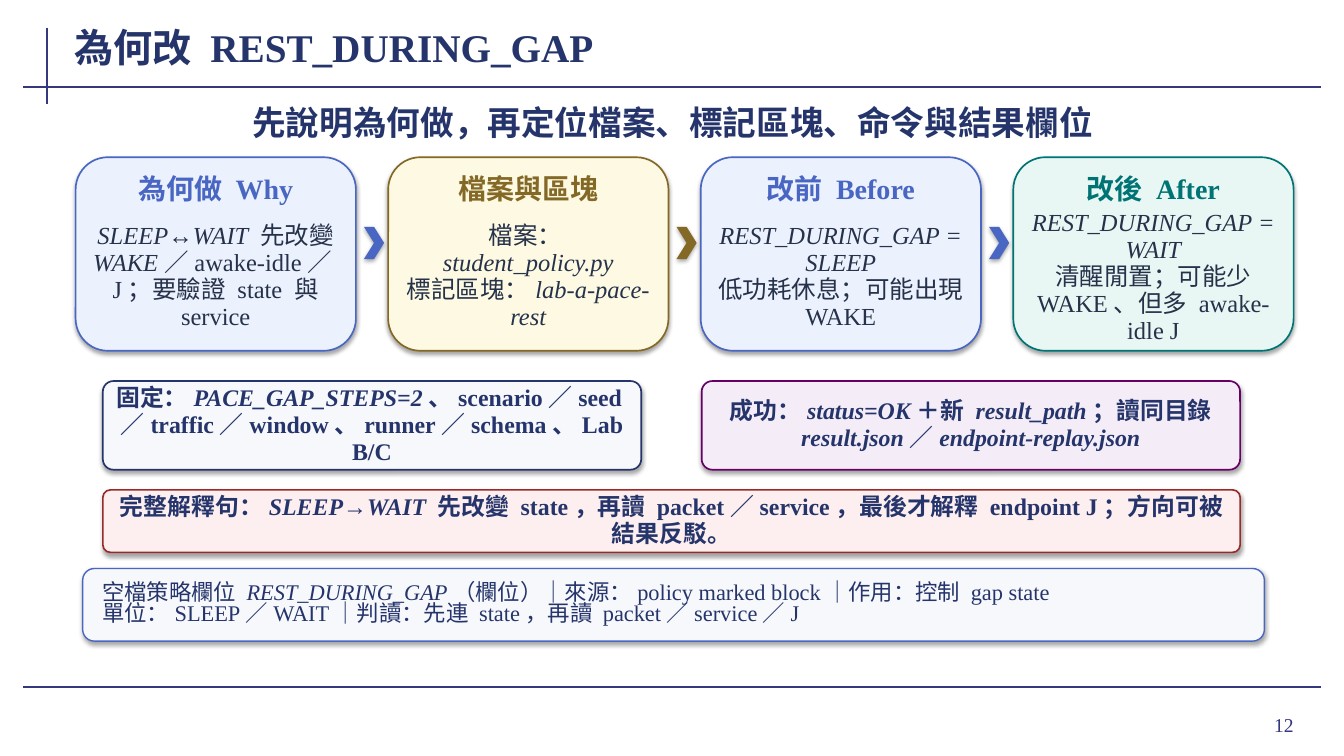
from dataclasses import dataclass

from lxml import etree
from pptx import Presentation, util as u
from pptx.dml.color import RGBColor
from pptx.enum import shapes, text
from pptx.oxml import parse_xml
from pptx.oxml.ns import nsdecls, qn

SHAPE, ALIGN = shapes.MSO_SHAPE, text.PP_ALIGN


@dataclass(frozen=True)
class Theme:
    font: str = "Times New Roman"
    rule: str = "35377F"
    navy: str = "25356B"
    ink: str = "25324A"
    blue: str = "4967C2"
    gold: str = "846826"
    teal: str = "007374"
    purple: str = "660066"
    red: str = "992A2A"
    pale_blue: str = "ECF1FE"
    pale_gold: str = "FDF9E2"
    pale_teal: str = "E8F7F4"
    pale_purple: str = "F4EDF7"
    pale_red: str = "FDEFEF"
    pale_gray: str = "F7F8FC"
    title: float = 28
    lead: float = 24
    heading: float = 20
    body: float = 17.5
    note: float = 17
    field: float = 16
    number: float = 14


class Deck:
    """Places styled elements on a grid of 133.3 columns by 75 rows."""

    COLS, ROWS = 133.3, 75

    def __init__(self, prs, theme):
        self.theme = theme
        self.col = prs.slide_width / self.COLS
        self.row = prs.slide_height / self.ROWS
        self.s = prs.slides.add_slide(prs.slide_layouts[5])

    def box(self, x, y, w, h):
        return (round(x * self.col), round(y * self.row),
                round(w * self.col), round(h * self.row))

    def set_text(self, sp, paragraphs, size, color, bold=False,
                 align=ALIGN.CENTER, spacing=1.0, inset=(0.02, 0.01)):
        """Fill a shape with paragraphs; *stars* enclose italic runs."""
        tf = sp.text_frame
        tf.word_wrap = True
        tf.auto_size = text.MSO_AUTO_SIZE.NONE
        tf.vertical_anchor = text.MSO_ANCHOR.MIDDLE
        tf.margin_left = tf.margin_right = u.Inches(inset[0])
        tf.margin_top = tf.margin_bottom = u.Inches(inset[1])
        for i, line in enumerate(paragraphs):
            p = tf.add_paragraph() if i else tf.paragraphs[0]
            p.alignment, p.line_spacing = align, spacing
            p.font.name, p.font.size = self.theme.font, u.Pt(size)
            p.font.bold = bold
            p.font.color.rgb = RGBColor.from_string(color)
            for j, part in enumerate(line.split("*")):
                if part:
                    r = p.add_run()
                    r.text = part
                    if j % 2:
                        r.font.italic = True

    def title(self, words, x, y, w, h):
        sp = self.s.shapes.title
        sp.left, sp.top, sp.width, sp.height = self.box(x, y, w, h)
        self.set_text(sp, [words], self.theme.title, self.theme.navy, True,
                      ALIGN.LEFT, inset=(0.02, 0))

    def label(self, paragraphs, x, y, w, h, size, color, **style):
        sp = self.s.shapes.add_textbox(*self.box(x, y, w, h))
        self.set_text(sp, paragraphs, size, color, **style)

    def rule(self, x1, y1, x2, y2):
        line = self.s.shapes.add_connector(
            shapes.MSO_CONNECTOR.STRAIGHT, round(x1 * self.col), round(y1 * self.row),
            round(x2 * self.col), round(y2 * self.row))
        line.line.color.rgb = RGBColor.from_string(self.theme.rule)
        line.line.width = u.Pt(1.5)
        etree.SubElement(line._element.spPr, qn("a:effectLst"))

    def shape(self, kind, x, y, w, h, fill, outline=None, width=1.2):
        sp = self.s.shapes.add_shape(kind, *self.box(x, y, w, h))
        sp.fill.solid()
        sp.fill.fore_color.rgb = RGBColor.from_string(fill)
        if outline:
            sp.line.color.rgb = RGBColor.from_string(outline)
            sp.line.width = u.Pt(width)
        else:
            sp.line.fill.background()
        self.soft_shadow(sp)
        return sp

    def soft_shadow(self, sp):
        sp.shadow.inherit = False
        sp._element.spPr.find(qn("a:effectLst")).append(parse_xml(
            f'<a:outerShdw {nsdecls("a")} blurRad="{u.Pt(3.1)}" dist="{u.Pt(1.8)}" '
            'dir="5400000" algn="ctr" rotWithShape="0"><a:srgbClr val="000000">'
            '<a:alpha val="35000"/></a:srgbClr></a:outerShdw>'))

    def card(self, x, heading, body, color, fill):
        t = self.theme
        self.shape(SHAPE.ROUNDED_RECTANGLE, x, 15.6, 27.8, 19.2, fill, color)
        self.label([heading], x + 1, 16.8, 25.8, 3.8, t.heading, color, bold=True)
        self.label(body, x + 1.4, 21.4, 25, 12.2, t.body, t.ink, spacing=0.92)

    def panel(self, paragraphs, x, y, w, h, fill, outline, width=1.2, **style):
        sp = self.shape(SHAPE.ROUNDED_RECTANGLE, x, y, w, h, fill, outline, width)
        sp.adjustments[0] = 0.12 if width > 1 else 0.16
        self.set_text(sp, paragraphs, color=self.theme.navy, **style)


def main():
    prs = Presentation()
    prs.slide_width, prs.slide_height = u.Inches(13.33), u.Inches(7.5)
    t = Theme()
    deck = Deck(prs, t)

    deck.rule(4.7, 2.8, 4.7, 10.3)
    for y in (8.6, 68.2):
        deck.rule(2.3, y, 131, y)
    deck.title("為何改 REST_DURING_GAP", 7.2, 2, 103.5, 5.3)
    deck.label(["先說明為何做，再定位檔案、標記區塊、命令與結果欄位"],
               9.8, 10, 113.8, 4.2, t.lead, t.navy, bold=True)

    cards = [
        ("為何做 Why", ["*SLEEP*↔*WAIT* 先改變",
                      "*WAKE*／awake-idle／J；要驗證 state 與 service"],
         t.blue, t.pale_blue),
        ("檔案與區塊", ["檔案：*student_policy.py*", "標記區塊：*lab-a-pace-rest*"],
         t.gold, t.pale_gold),
        ("改前 Before", ["*REST_DURING_GAP = SLEEP*", "低功耗休息；可能出現 WAKE"],
         t.blue, t.pale_blue),
        ("改後 After", ["*REST_DURING_GAP = WAIT*",
                      "清醒閒置；可能少 WAKE、但多 awake-idle J"],
         t.teal, t.pale_teal),
    ]
    for i, (heading, body, color, fill) in enumerate(cards):
        x = 7.5 + 31 * i
        deck.card(x, heading, body, color, fill)
        if i < len(cards) - 1:
            deck.shape(SHAPE.CHEVRON, x + 28.6, 22.5, 2, 3.2, color)

    notes = [
        ("固定：*PACE_GAP_STEPS=2*、scenario／seed／traffic／window、"
         "runner／schema、Lab B/C",
         (10.2, 37.8, 53.4, 8.8), t.pale_gray, t.navy),
        ("成功：*status=OK*＋新 *result_path*；讀同目錄 "
         "*result.json*／*endpoint-replay.json*",
         (69.6, 37.8, 53.4, 8.8), t.pale_purple, t.purple),
        ("完整解釋句：*SLEEP*→*WAIT* 先改變 state，再讀 packet／service，"
         "最後才解釋 endpoint J；方向可被結果反駁。",
         (10.2, 48.6, 112.8, 6.2), t.pale_red, t.red),
    ]
    for words, place, fill, outline in notes:
        deck.panel([words], *place, fill, outline, size=t.note, bold=True,
                   spacing=0.94, inset=(0.1, 0.04))

    deck.panel(["空檔策略欄位 *REST_DURING_GAP*（欄位）｜來源：policy marked block"
                "｜作用：控制 gap state",
                "單位：SLEEP／WAIT｜判讀：先連 state，再讀 packet／service／J"],
               8.2, 56.4, 117.2, 7.2, t.pale_gray, t.blue, width=1,
               size=t.field, align=ALIGN.LEFT, spacing=0.78, inset=(0.16, 0.02))
    deck.label(["12"], 119.6, 69.3, 9.7, 5.2, t.number, t.rule,
               align=ALIGN.RIGHT, inset=(0.1, 0.05))
    prs.save("out.pptx")


if __name__ == "__main__":
    main()
